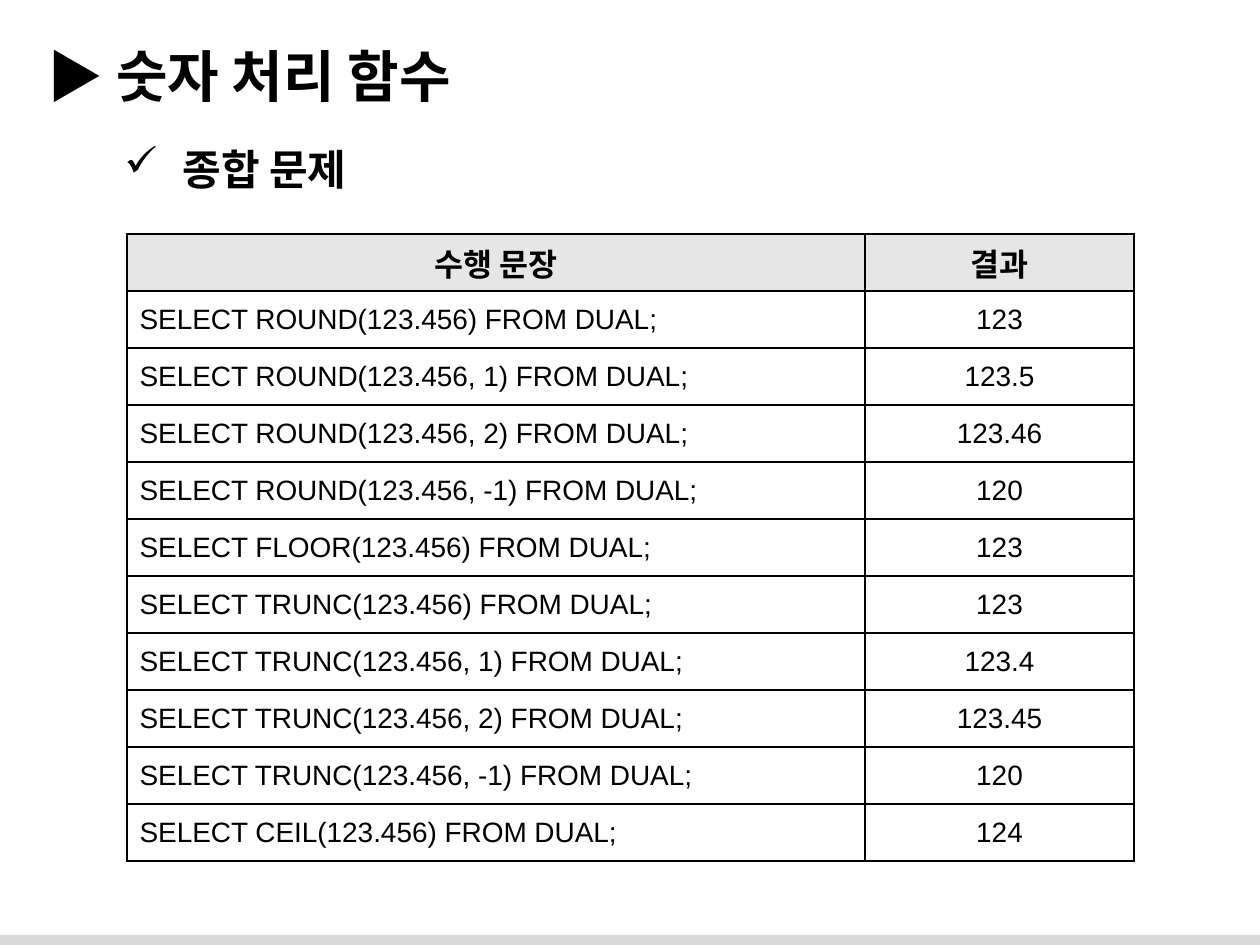
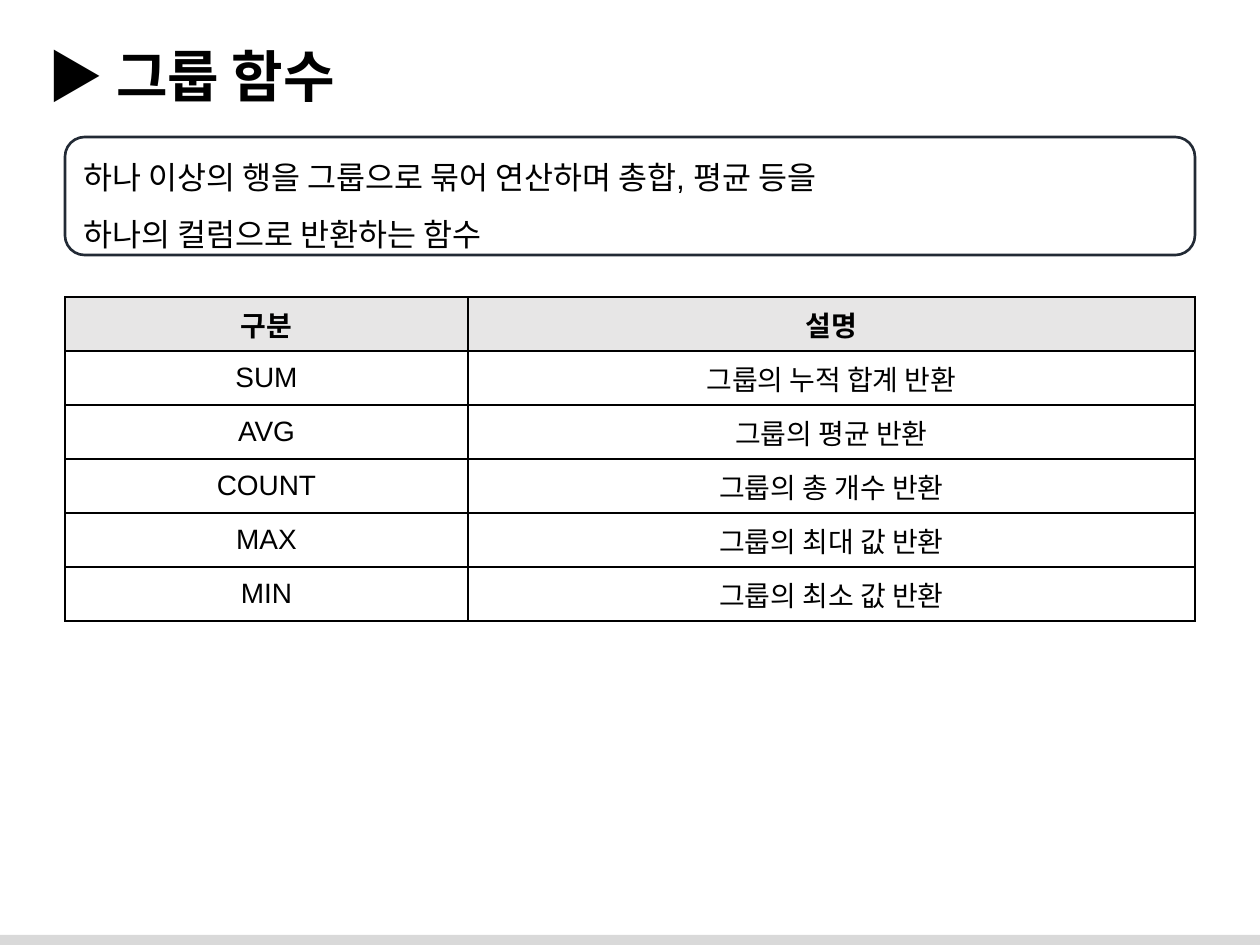
from dataclasses import dataclass

from lxml import etree
from pptx import Presentation
from pptx import util as u
from pptx.dml.color import RGBColor
from pptx.enum import shapes, text
from pptx.oxml.ns import qn


@dataclass(frozen=True)
class Theme:
    """Colours, font and type sizes of the deck."""
    font: str = "Arial"
    ink: str = "000000"
    footer: str = "D9D9D9"
    header: str = "E7E6E6"
    outline: str = "222A35"
    title: int = 32
    subtitle: int = 24
    body: int = 18
    cell: int = 16


THEME = Theme()
LEFT, CENTER = text.PP_ALIGN.LEFT, text.PP_ALIGN.CENTER


def px(length):
    """Turn px into EMU."""
    return u.Emu(round(length * 914400 / 126))


def place(box):
    """Turn a px box into EMU lengths."""
    return [px(length) for length in box]


def style(paragraph, size, bold=False, align=LEFT):
    """Set the font and alignment of a paragraph."""
    paragraph.alignment = align
    font = paragraph.font
    font.name, font.size, font.bold = THEME.font, u.Pt(size), bold
    font.color.rgb = RGBColor.from_string(THEME.ink)


def add_label(slide, box, words, size, wrap=True, bullet=None, indent=0):
    """Add a bold line of text, with a hanging bullet if one is given."""
    frame = slide.shapes.add_textbox(*place(box)).text_frame
    frame.word_wrap = wrap
    frame.auto_size = text.MSO_AUTO_SIZE.SHAPE_TO_FIT_TEXT
    paragraph = frame.paragraphs[0]
    paragraph.text = words
    if bullet:
        properties = paragraph._p.get_or_add_pPr()
        properties.set("marL", str(px(indent)))
        properties.set("indent", str(-px(indent)))
        etree.SubElement(properties, qn("a:buChar"), char=bullet)
    style(paragraph, size, bold=True)


def add_base(presentation, title):
    """Add a slide with the footer band and the title."""
    slide = presentation.slides.add_slide(presentation.slide_layouts[6])
    band = slide.shapes.add_shape(shapes.MSO_SHAPE.RECTANGLE, *place((-2, 935, 1265, 14)))
    band.shadow.inherit = False
    band.fill.solid()
    band.fill.fore_color.rgb = RGBColor.from_string(THEME.footer)
    band.line.fill.background()
    add_label(slide, (35, 35, 1191, 81), f"▶ {title}", THEME.title)
    return slide


def add_definition(slide, box, lines):
    """Add the rounded outline holding a definition."""
    shape = slide.shapes.add_shape(shapes.MSO_SHAPE.ROUNDED_RECTANGLE, *place(box))
    shape.shadow.inherit = False
    shape.fill.background()
    shape.line.color.rgb = RGBColor.from_string(THEME.outline)
    shape.line.width = u.Pt(1.5)
    frame = shape.text_frame
    frame.word_wrap = True
    frame.vertical_anchor = text.MSO_ANCHOR.MIDDLE
    frame.text = "\n".join(lines)
    for paragraph in frame.paragraphs:
        paragraph.line_spacing = 1.5
        style(paragraph, THEME.body)


def add_borders(cell):
    """Draw a thin line on the four sides of a cell."""
    properties = cell._tc.get_or_add_tcPr()
    for side in "LRTB":
        line = etree.SubElement(properties, qn(f"a:ln{side}"), w=str(u.Pt(1)))
        fill = etree.SubElement(line, qn("a:solidFill"))
        etree.SubElement(fill, qn("a:srgbClr"), val=THEME.ink)


def add_grid(slide, left, top, widths, row_height, rows, header_size, first_align=CENTER):
    """Add a bordered table whose first row is the header."""
    box = (left, top, sum(widths), row_height * len(rows))
    table = slide.shapes.add_table(len(rows), len(widths), *place(box)).table
    table.horz_banding = table.first_row = False
    for column, width in zip(table.columns, widths):
        column.width = px(width)
    for row_index, values in enumerate(rows):
        table.rows[row_index].height = px(row_height)
        is_header = row_index == 0
        for column_index, value in enumerate(values):
            cell = table.cell(row_index, column_index)
            add_borders(cell)
            if is_header:
                cell.fill.solid()
                cell.fill.fore_color.rgb = RGBColor.from_string(THEME.header)
            else:
                cell.fill.background()
            cell.vertical_anchor = text.MSO_ANCHOR.MIDDLE
            cell.text = value
            align = first_align if column_index == 0 and not is_header else CENTER
            style(cell.text_frame.paragraphs[0],
                  header_size if is_header else THEME.cell, is_header, align)


def build_number_functions(presentation):
    """Build the exercise slide on number functions."""
    slide = add_base(presentation, "숫자 처리 함수")
    add_label(slide, (112, 137, 273, 63), "종합 문제", THEME.subtitle,
              wrap=False, bullet="✓", indent=58)
    results = [
        ("ROUND(123.456)", "123"),
        ("ROUND(123.456, 1)", "123.5"),
        ("ROUND(123.456, 2)", "123.46"),
        ("ROUND(123.456, -1)", "120"),
        ("FLOOR(123.456)", "123"),
        ("TRUNC(123.456)", "123"),
        ("TRUNC(123.456, 1)", "123.4"),
        ("TRUNC(123.456, 2)", "123.45"),
        ("TRUNC(123.456, -1)", "120"),
        ("CEIL(123.456)", "124"),
    ]
    rows = [("수행 문장", "결과")]
    rows += [(f"SELECT {call} FROM DUAL;", result) for call, result in results]
    add_grid(slide, 127, 234, (738, 269), 57, rows, THEME.body, first_align=LEFT)


def build_group_functions(presentation):
    """Build the slide that defines and lists group functions."""
    slide = add_base(presentation, "그룹 함수")
    add_definition(slide, (65, 137, 1130, 118), (
        "하나 이상의 행을 그룹으로 묶어 연산하며 총합, 평균 등을",
        "하나의 컬럼으로 반환하는 함수",
    ))
    meanings = {"SUM": "누적 합계", "AVG": "평균", "COUNT": "총 개수",
                "MAX": "최대 값", "MIN": "최소 값"}
    rows = [("구분", "설명")]
    rows += [(name, f"그룹의 {meaning} 반환") for name, meaning in meanings.items()]
    add_grid(slide, 65, 297, (403, 727), 54, rows, THEME.cell)


def main():
    """Build and save the presentation."""
    presentation = Presentation()
    presentation.slide_width, presentation.slide_height = px(1260), px(945)
    build_number_functions(presentation)
    build_group_functions(presentation)
    presentation.save("out.pptx")


if __name__ == "__main__":
    main()
